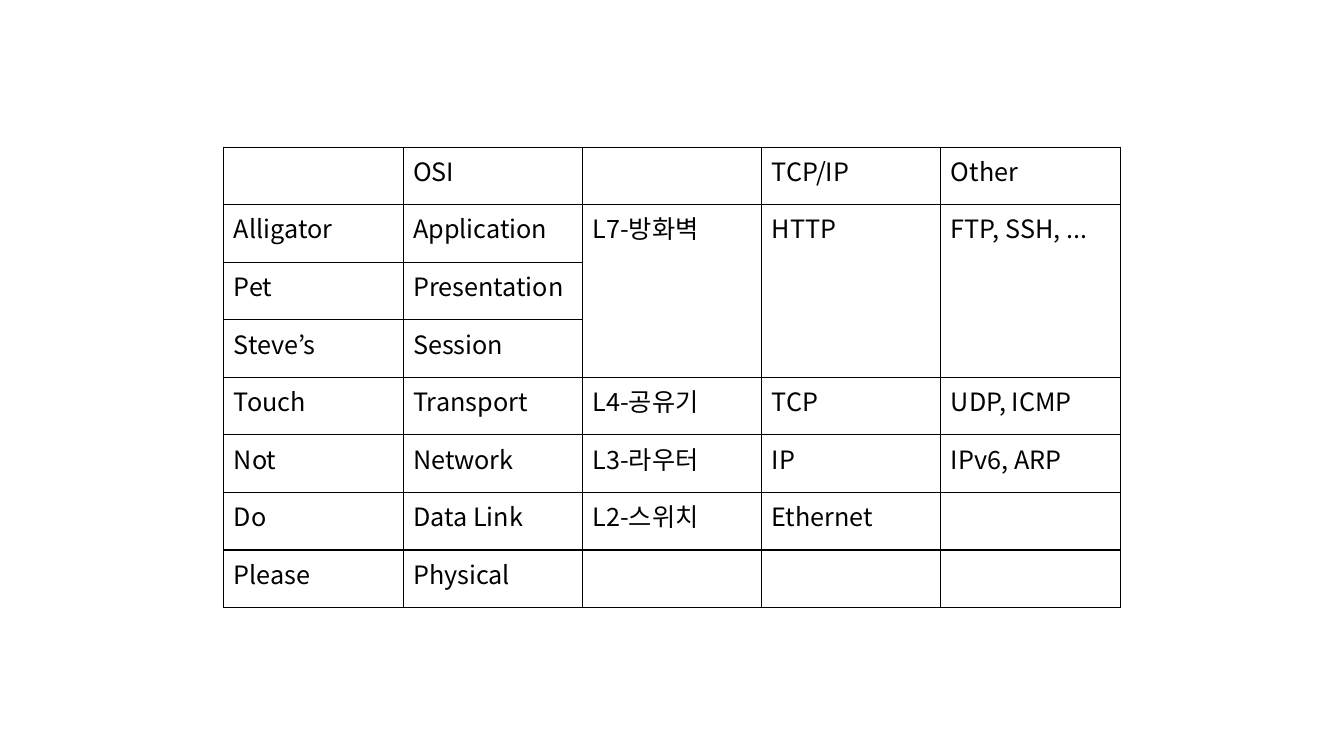
from dataclasses import dataclass

from lxml import etree
from pptx import Presentation
from pptx.dml.color import RGBColor
from pptx.oxml.ns import qn
from pptx.table import Table, _Cell
from pptx.util import Inches, Pt


@dataclass(frozen=True)
class Theme:
    font: str = "Noto Sans CJK KR"
    size: int = 18
    ink: str = "000000"
    line: float = 1


@dataclass(frozen=True)
class Layer:
    hint: str = ""
    osi: str = ""
    device: str = ""
    tcp: str = ""
    other: str = ""

    def texts(self) -> tuple[str, ...]:
        return self.hint, self.osi, self.device, self.tcp, self.other


THEME = Theme()
SIDES = ("a:lnL", "a:lnR", "a:lnT", "a:lnB")
LAYERS = (
    Layer("", "OSI", "", "TCP/IP", "Other"),
    Layer("Alligator", "Application", "L7-방화벽", "HTTP", "FTP, SSH, ..."),
    Layer("Pet", "Presentation"),
    Layer("Steve’s", "Session"),
    Layer("Touch", "Transport", "L4-공유기", "TCP", "UDP, ICMP"),
    Layer("Not", "Network", "L3-라우터", "IP", "IPv6, ARP"),
    Layer("Do", "Data Link", "L2-스위치", "Ethernet"),
    Layer("Please", "Physical"),
)
COLS = len(LAYERS[0].texts())
TOP_ROW, END_ROW = 1, 3
MERGED = range(2, COLS)


def write(cell: _Cell, text: str, *, font: str = THEME.font,
          size: int = THEME.size, color: str = THEME.ink) -> None:
    run = cell.text_frame.paragraphs[0].add_run()
    run.text = text
    run.font.name = font
    run.font.size = Pt(size)
    run.font.color.rgb = RGBColor.from_string(color)
    etree.SubElement(run.font._element, qn("a:ea"), typeface=font)


def frame(cell: _Cell) -> None:
    """Rule all four sides of a cell and leave it unfilled."""
    props = cell._tc.get_or_add_tcPr()
    for side in SIDES:
        line = etree.SubElement(props, qn(side), w=str(Pt(THEME.line)))
        fill = etree.SubElement(line, qn("a:solidFill"))
        etree.SubElement(fill, qn("a:srgbClr"), val=THEME.ink)
    cell.fill.background()


def fill_grid(grid: Table) -> None:
    for row, layer in enumerate(LAYERS):
        for col, text in enumerate(layer.texts()):
            cell = grid.cell(row, col)
            frame(cell)
            if text:
                write(cell, text)
    for col in MERGED:
        grid.cell(TOP_ROW, col).merge(grid.cell(END_ROW, col))


def main() -> None:
    deck = Presentation()
    deck.slide_width, deck.slide_height = Inches(13.33), Inches(7.5)
    slide = deck.slides.add_slide(deck.slide_layouts[6])
    grid = slide.shapes.add_table(
        len(LAYERS), COLS, Inches(2.22), Inches(1.46),
        Inches(8.89), Inches(4.57)).table
    grid.first_row = grid.horz_banding = False
    fill_grid(grid)
    deck.save("out.pptx")


if __name__ == "__main__":
    main()
